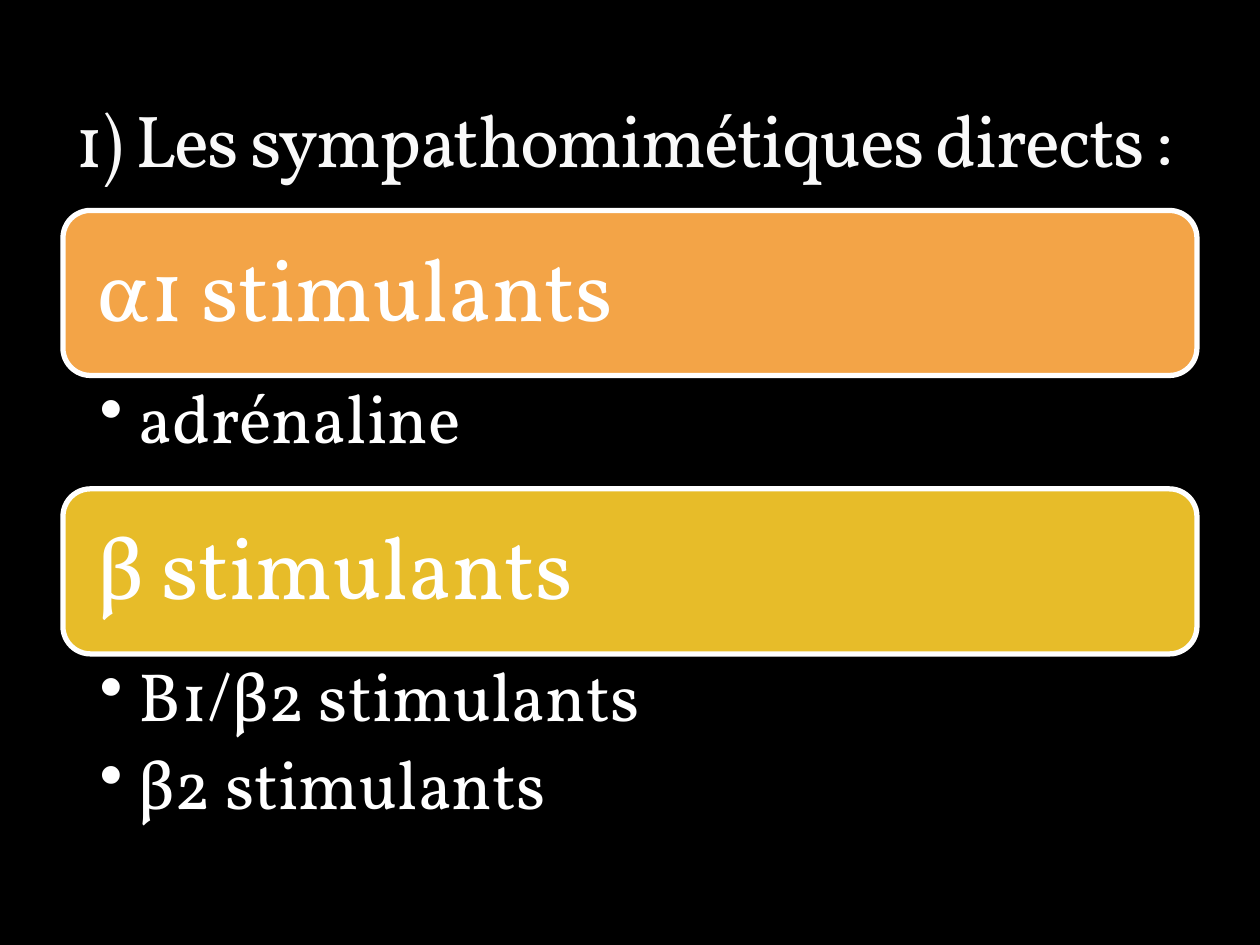
import pptx
import pptx.util
import pptx.dml.color
import pptx.enum.shapes
import pptx.enum.text
import pptx.oxml
import pptx.oxml.ns

Inches, Pt = pptx.util.Inches, pptx.util.Pt
Color = pptx.dml.color.RGBColor.from_string
Anchor = pptx.enum.text.MSO_ANCHOR
Align = pptx.enum.text.PP_ALIGN

theme = {
    "font": "Vollkorn", "back": "000000", "text": "FFFFFF", "title": "F9F9F9",
    "head": 50, "item": 39, "top": 42,
}

# Each group: fill, heading, items, height of the item list
groups = [
    ("F3A447", "α1 stimulants", ["adrénaline"], 0.9),
    ("E7BC29", "β stimulants", ["Β1/β2 stimulants", "β2 stimulants"], 1.47),
]
left, wide, bar = 0.5, 9, 1.31


def frame(shape, anchor, pads):
    box = shape.text_frame
    box.word_wrap = True
    box.auto_size = pptx.enum.text.MSO_AUTO_SIZE.NONE
    box.vertical_anchor = anchor
    box.margin_left, box.margin_top, box.margin_right, box.margin_bottom = map(Inches, pads)
    return box


def write(para, text, size, color):
    para.alignment = Align.LEFT
    run = para.add_run()
    run.text = text
    run.font.name = theme["font"]
    run.font.size = Pt(size)
    run.font.color.rgb = Color(color)
    return run


# Slide and background
deck = pptx.Presentation()
deck.slide_width, deck.slide_height = Inches(10), Inches(7.5)
slide = deck.slides.add_slide(deck.slide_layouts[5])
slide.background.fill.solid()
slide.background.fill.fore_color.rgb = Color(theme["back"])

# Title, with tightened letters
title = slide.shapes.title
title.left, title.top, title.width, title.height = map(Inches, (left, 0.17, wide, 1.33))
box = frame(title, Anchor.BOTTOM, (0.1, 0.05, 0.1, 0.05))
run = write(box.paragraphs[0], "1) Les sympathomimétiques directs :", theme["top"], theme["title"])
run.font._element.set("spc", "-100")

# Heading bars, each followed by its list
top = 1.67
for fill, head, items, tall in groups:
    shape = slide.shapes.add_shape(
        pptx.enum.shapes.MSO_SHAPE.ROUNDED_RECTANGLE,
        Inches(left), Inches(top), Inches(wide), Inches(bar))
    shape.shadow.inherit = False
    shape.fill.solid()
    shape.fill.fore_color.rgb = Color(fill)
    shape.line.color.rgb = Color(theme["text"])
    shape.line.width = Pt(3)
    # The preset already insets its text by the corner, about 0.06 inch
    box = frame(shape, Anchor.MIDDLE, [0.21] * 4)
    box.paragraphs[0].line_spacing = 0.9
    write(box.paragraphs[0], head, theme["head"], theme["text"])
    top += bar

    area = slide.shapes.add_textbox(Inches(left), Inches(top), Inches(wide), Inches(tall))
    box = frame(area, Anchor.TOP, (0.29, 0.07, 0.39, 0.07))
    for i, item in enumerate(items):
        para = box.add_paragraph() if i else box.paragraphs[0]
        props = para._p.get_or_add_pPr()
        props.set("marL", str(Inches(0.31)))
        props.set("indent", str(-Inches(0.31)))
        mark = pptx.oxml.parse_xml(
            f'<a:buChar {pptx.oxml.ns.nsdecls("a")} char="•"/>')
        props.append(mark)
        para.line_spacing = 0.9
        para.space_after = Pt(theme["item"] * 0.2)
        write(para, item, theme["item"], theme["text"])
    top += tall

deck.save("out.pptx")
